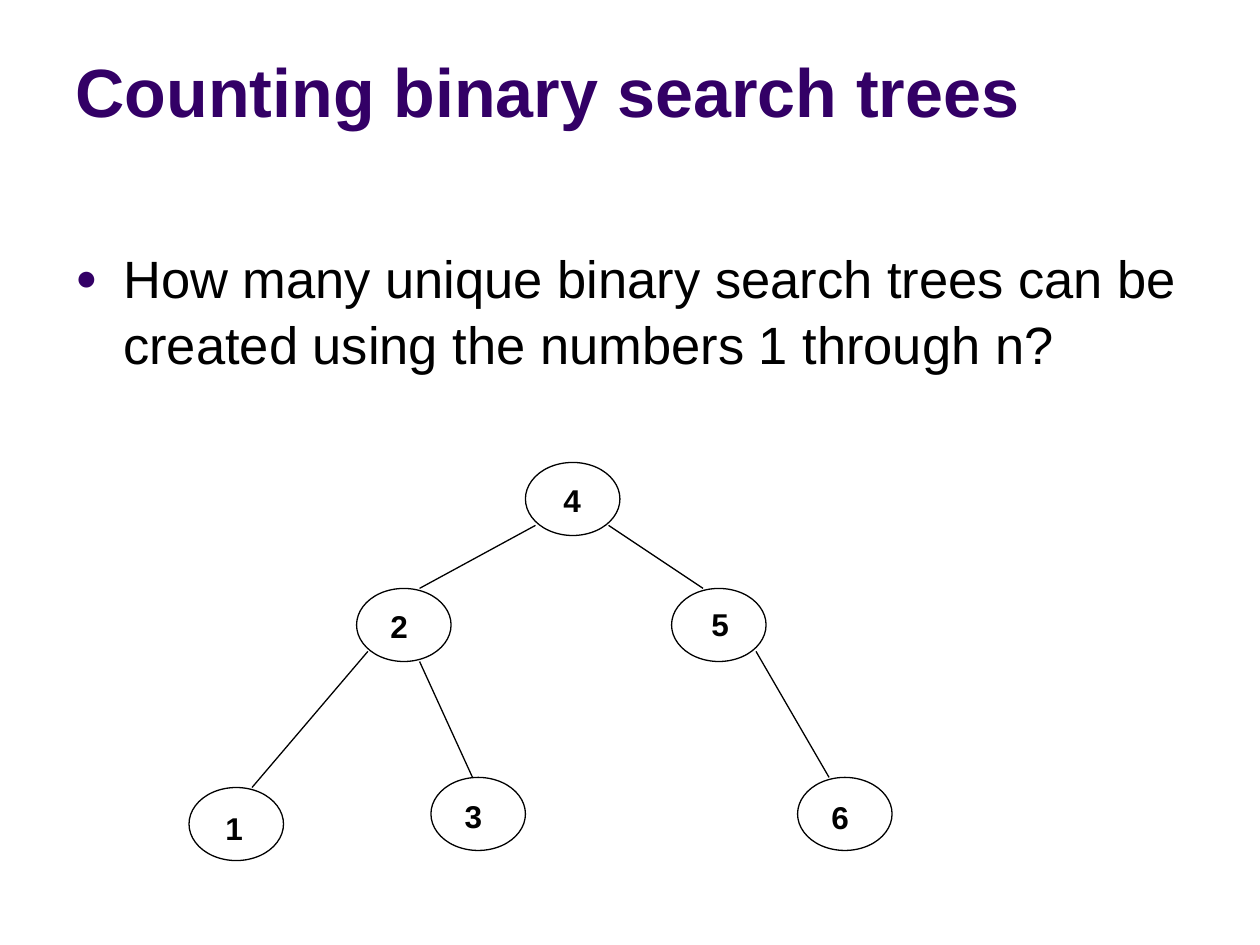
"""Build a slide that asks how many binary search trees the numbers 1 to n allow."""
from lxml import etree
from pptx import Presentation
from pptx import util as u
from pptx.dml.color import RGBColor
from pptx.enum import shapes, text
from pptx.oxml.ns import qn

TITLE = "Counting binary search trees"
QUESTION = "How many unique binary search trees can be created using the numbers 1 through n?"
PURPLE, BLACK = "330066", "000000"
LEFT, CENTER = text.PP_ALIGN.LEFT, text.PP_ALIGN.CENTER
NODE_W, NODE_H = 0.75, 0.58
LABEL_H = 0.4

# number: (node left, node top, label left, label top, label width, alignment)
NODES = {
    "4": (4.17, 3.67, 4.25, 3.75, 0.58, CENTER),
    "2": (2.83, 4.67, 3, 4.75, 0.67, LEFT),
    "1": (1.5, 6.25, 1.69, 6.36, 0.6, LEFT),
    "3": (3.42, 6.17, 3.59, 6.26, 0.67, LEFT),
    "5": (5.33, 4.67, 5.38, 4.74, 0.67, CENTER),
    "6": (6.33, 6.17, 6.5, 6.27, 0.67, LEFT),
}
EDGES = [
    (2, 6.25, 2.92, 5.17),
    (3.33, 4.67, 4.25, 4.17),
    (3.33, 5.25, 3.75, 6.17),
    (4.83, 4.17, 5.58, 4.67),
    (6, 5.17, 6.58, 6.17),
]


def color(value):
    return RGBColor.from_string(value)


def inches(*values):
    return [u.Inches(v) for v in values]


def add_run(p, words, size, rgb, bold=False):
    r = p.add_run()
    r.text = words
    r.font.name, r.font.size, r.font.bold = "Arial", u.Pt(size), bold
    r.font.color.rgb = color(rgb)


def add_text(s, box, words, size, bold=False, align=LEFT):
    tf = s.shapes.add_textbox(*inches(*box)).text_frame
    tf.word_wrap = True
    p = tf.paragraphs[0]
    p.alignment, p.line_spacing = align, 1.05
    add_run(p, words, size, BLACK, bold)
    return p


def add_bullet(p, rgb):
    pPr = p._p.get_or_add_pPr()
    pPr.set("marL", str(u.Inches(0.38)))
    pPr.set("indent", str(-u.Inches(0.38)))
    clr = etree.SubElement(pPr, qn("a:buClr"))
    etree.SubElement(clr, qn("a:srgbClr"), val=rgb)
    etree.SubElement(pPr, qn("a:buSzPct"), val="70000")
    etree.SubElement(pPr, qn("a:buFont"), typeface="Arial")
    etree.SubElement(pPr, qn("a:buChar"), char="●")


def style_line(line):
    line.color.rgb = color(BLACK)
    line.width = u.Pt(0.75)


def add_node(s, number, left, top, label_left, label_top, label_w, align):
    sp = s.shapes.add_shape(shapes.MSO_SHAPE.OVAL, *inches(left, top, NODE_W, NODE_H))
    sp.shadow.inherit = False
    sp.fill.background()
    style_line(sp.line)
    add_text(s, (label_left, label_top, label_w, LABEL_H), number, 18, True, align)


def add_edge(s, ends):
    cxn = s.shapes.add_connector(shapes.MSO_CONNECTOR.STRAIGHT, *inches(*ends))
    style_line(cxn.line)
    etree.SubElement(cxn._element.spPr, qn("a:effectLst"))


def main():
    prs = Presentation()
    prs.slide_width, prs.slide_height = inches(10, 7.5)
    s = prs.slides.add_slide(prs.slide_layouts[5])

    title = s.shapes.title
    title.left, title.top, title.width, title.height = inches(0.5, 0.13, 9, 0.96)
    title.text_frame.vertical_anchor = text.MSO_ANCHOR.BOTTOM
    p = title.text_frame.paragraphs[0]
    p.alignment = LEFT
    add_run(p, TITLE, 39, PURPLE, True)

    add_bullet(add_text(s, (0.5, 1.88, 9, 1.37), QUESTION, 30), PURPLE)
    for number, place in NODES.items():
        add_node(s, number, *place)
    for ends in EDGES:
        add_edge(s, ends)
    prs.save("out.pptx")


if __name__ == "__main__":
    main()
